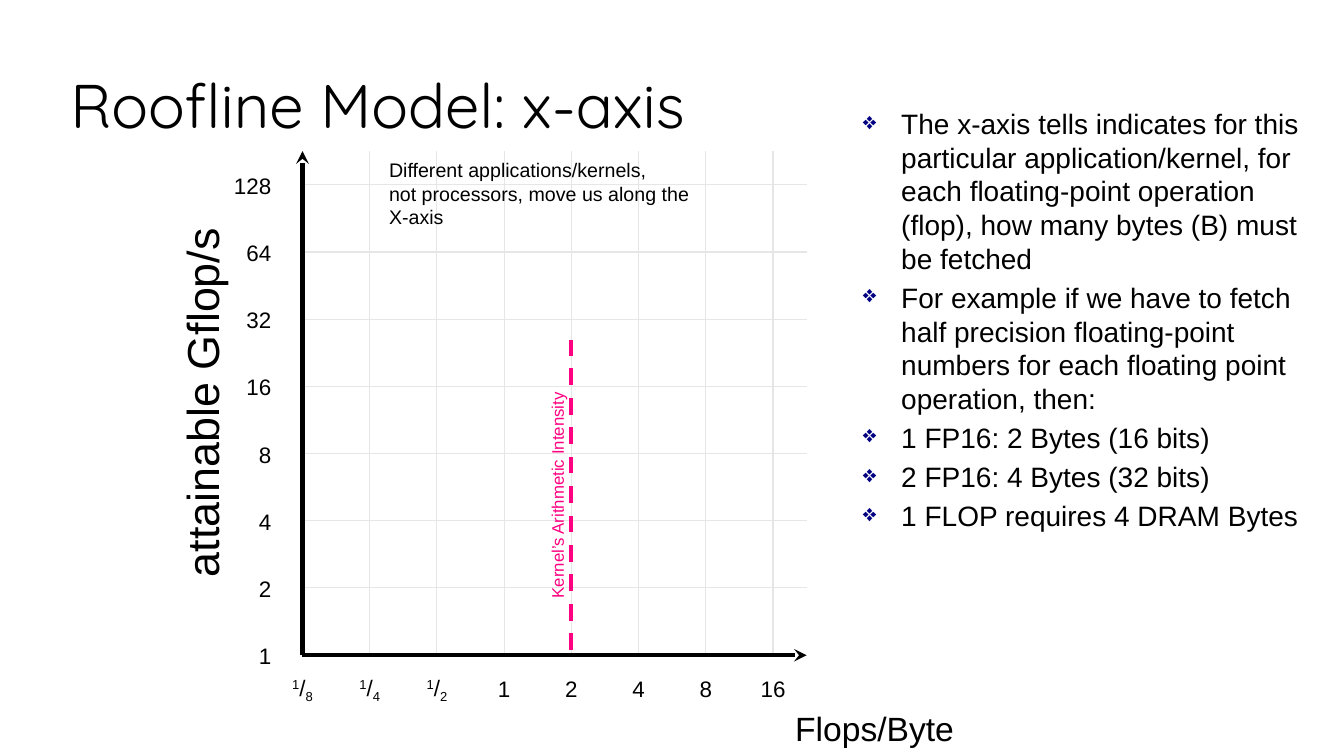
from lxml import etree
from pptx import Presentation
from pptx.dml.color import RGBColor
from pptx.enum.dml import MSO_LINE
from pptx.enum.shapes import MSO_CONNECTOR
from pptx.enum.text import MSO_ANCHOR, PP_ALIGN
from pptx.oxml.ns import qn
from pptx.util import Inches, Pt

STRAIGHT = MSO_CONNECTOR.STRAIGHT
DASH = MSO_LINE.DASH
TOP, MIDDLE = MSO_ANCHOR.TOP, MSO_ANCHOR.MIDDLE
LEFT, CENTER, RIGHT = PP_ALIGN.LEFT, PP_ALIGN.CENTER, PP_ALIGN.RIGHT

COLORS = {"text": "000000", "grid": "E6E6E6", "kernel": "FF0080", "bullet": "000080"}
BODY_FONT, TITLE_FONT = "Arial", "Quicksand"
PADDED, FLUSH = (0.1, 0.05), (0, 0)

ORIGIN_X, ORIGIN_Y = 3, 6.5
AXIS_LENGTH = 5
STEP = 2 / 3
X_TICKS = ["1/8", "1/4", "1/2", "1", "2", "4", "8", "16"]
Y_TICKS = ["1", "2", "4", "8", "16", "32", "64", "128"]

POINTS = [
    "The x-axis tells indicates for this particular application/kernel, for each "
    "floating-point operation (flop), how many bytes (B) must be fetched",
    "For example if we have to fetch half precision floating-point numbers for each "
    "floating point operation, then:",
    "1 FP16: 2 Bytes (16 bits)",
    "2 FP16: 4 Bytes (32 bits)",
    "1 FLOP requires 4 DRAM Bytes",
]


class RooflineSlide:
    def __init__(self, prs):
        self.shapes = prs.slides.add_slide(prs.slide_layouts[6]).shapes

    def line(self, start, end, color, width, arrow=False, dash=None, home=None):
        points = [Inches(v) for v in (*start, *end)]
        s = (home or self.shapes).add_connector(STRAIGHT, *points)
        s.line.color.rgb = RGBColor.from_string(COLORS[color])
        s.line.width = Pt(width)
        if dash:
            s.line.dash_style = dash
        if arrow:
            etree.SubElement(s.line._get_or_add_ln(), qn("a:tailEnd"), type="stealth")
        etree.SubElement(s._element.spPr, qn("a:effectLst"))

    def box(self, at, anchor=MIDDLE, inset=FLUSH, rotation=0, wrap=True, home=None):
        s = (home or self.shapes).add_textbox(*[Inches(v) for v in at])
        s.rotation = rotation
        tf = s.text_frame
        tf.word_wrap = wrap
        tf.vertical_anchor = anchor
        tf.margin_left = tf.margin_right = Inches(inset[0])
        tf.margin_top = tf.margin_bottom = Inches(inset[1])
        return tf

    def run(self, p, text, size, color="text", font=BODY_FONT, baseline=0):
        r = p.add_run()
        r.text = text
        r.font.name = font
        r.font.size = Pt(size)
        r.font.color.rgb = RGBColor.from_string(COLORS[color])
        if baseline:
            r.font._element.set("baseline", str(baseline * 1000))

    def text(self, at, lines, size, align=CENTER, color="text", font=BODY_FONT,
             spacing=None, **frame):
        tf = self.box(at, **frame)
        for i, content in enumerate(lines):
            p = tf.add_paragraph() if i else tf.paragraphs[0]
            p.alignment = align
            if spacing:
                p.line_spacing = spacing
            self.run(p, content, size, color, font)

    def fraction(self, at, label, size):
        p = self.box(at).paragraphs[0]
        p.alignment = CENTER
        top, bottom = label.split("/")
        for part, baseline in ((top, 30), ("/", 0), (bottom, -25)):
            self.run(p, part, size, baseline=baseline)

    def bullets(self, at, points, size):
        tf = self.box(at, TOP, PADDED)
        for i, point in enumerate(points):
            p = tf.add_paragraph() if i else tf.paragraphs[0]
            p.space_before = Pt(0.2 * size if i else 0)
            pPr = p._p.get_or_add_pPr()
            pPr.set("marL", str(Inches(0.38)))
            pPr.set("indent", str(-Inches(0.38)))
            color = etree.SubElement(pPr, qn("a:buClr"))
            etree.SubElement(color, qn("a:srgbClr"), val=COLORS["bullet"])
            etree.SubElement(pPr, qn("a:buSzPct"), val="85000")
            etree.SubElement(pPr, qn("a:buChar"), char="❖")
            self.run(p, point, size)

    def grid(self):
        for i in range(1, 8):
            x, y = ORIGIN_X + i * STEP, ORIGIN_Y - i * STEP
            self.line((x, ORIGIN_Y), (x, ORIGIN_Y - AXIS_LENGTH), "grid", 0.75)
            self.line((ORIGIN_X + AXIS_LENGTH, y), (ORIGIN_X, y), "grid", 0.75)

    def axes(self):
        origin = (ORIGIN_X, ORIGIN_Y)
        self.line(origin, (ORIGIN_X + AXIS_LENGTH, ORIGIN_Y), "text", 3, arrow=True)
        self.line(origin, (ORIGIN_X, ORIGIN_Y - AXIS_LENGTH), "text", 3, arrow=True)
        for i, label in enumerate(X_TICKS):
            at = (ORIGIN_X - 0.34 + i * STEP, ORIGIN_Y, 0.68, 0.67)
            if "/" in label:
                self.fraction(at, label, 16)
            else:
                self.text(at, [label], 16)
        for i, label in enumerate(Y_TICKS):
            at = (1.69, ORIGIN_Y - 0.33 - i * STEP, 1, 0.67)
            self.text(at, [label], 16, RIGHT)
        self.text((6.51, 7.06, 4.33, 0.33), ["Flops/Byte"], 24)
        self.text((-0.5, 3.66, 4.99, 0.67), ["attainable Gflop/s"], 32, rotation=270)

    def kernel(self):
        group = self.shapes.add_group_shape().shapes
        x = ORIGIN_X + 4 * STEP
        self.line((x, 6.45), (x, 3.37), "kernel", 3, dash=DASH, home=group)
        self.text((3.98, 4.79, 3.09, 0.25), ["Kernel’s Arithmetic Intensity"], 12,
                  color="kernel", rotation=270, wrap=False, home=group)


def main():
    prs = Presentation()
    prs.slide_width, prs.slide_height = Inches(13.33), Inches(7.5)
    slide = RooflineSlide(prs)
    slide.text((0.6, 0.35, 11.81, 1.45), ["Roofline Model: x-axis"], 44, LEFT,
               font=TITLE_FONT, spacing=0.9, inset=PADDED)
    slide.grid()
    slide.axes()
    slide.bullets((8.46, 1.01, 4.61, 4.99), POINTS, 20)
    slide.text((3.76, 1.52, 3.22, 1.31),
               ["Different applications/kernels,", "not processors, move us along the X-axis"],
               14, LEFT, anchor=TOP, inset=PADDED)
    slide.kernel()
    prs.save("out.pptx")


if __name__ == "__main__":
    main()
